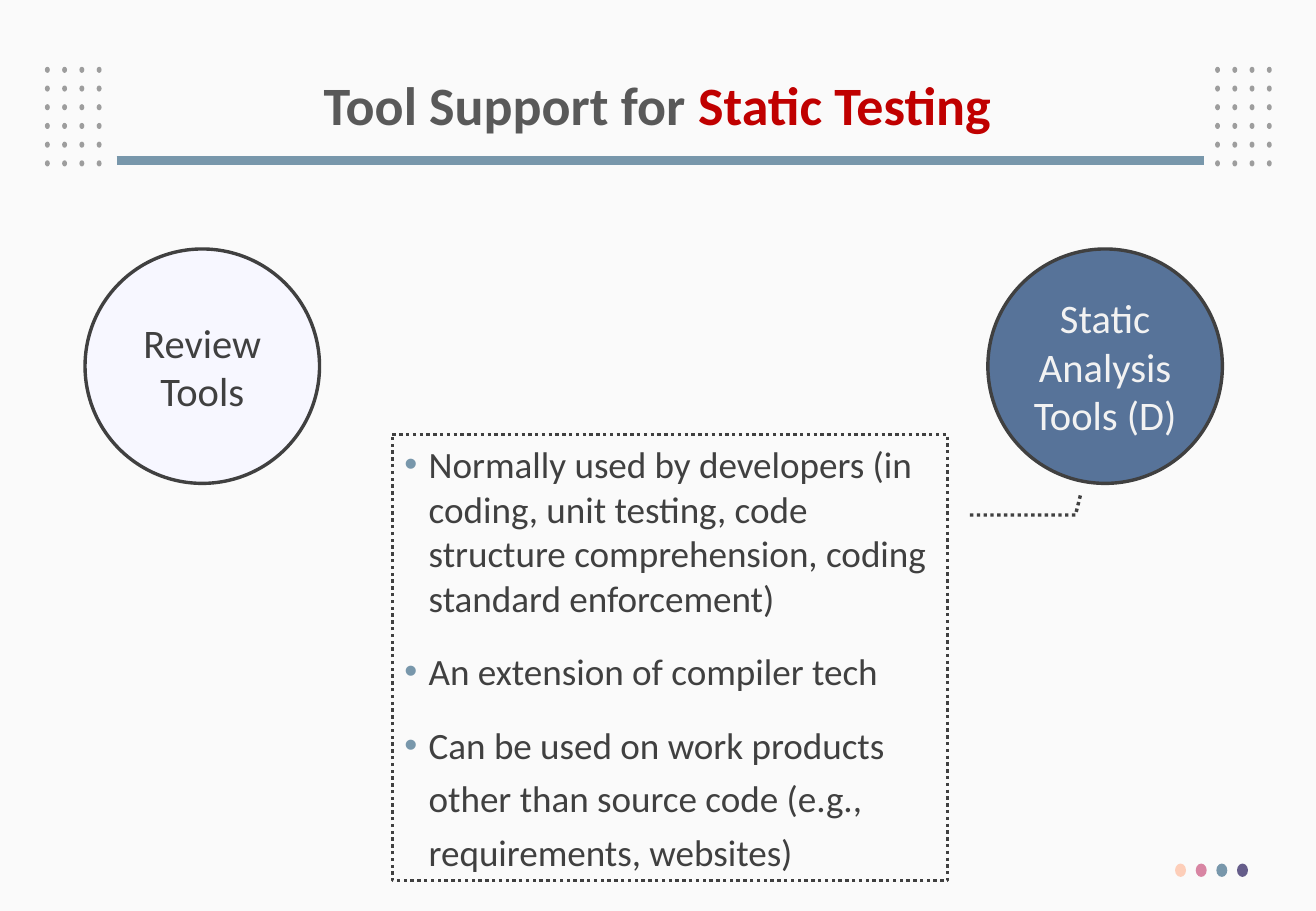
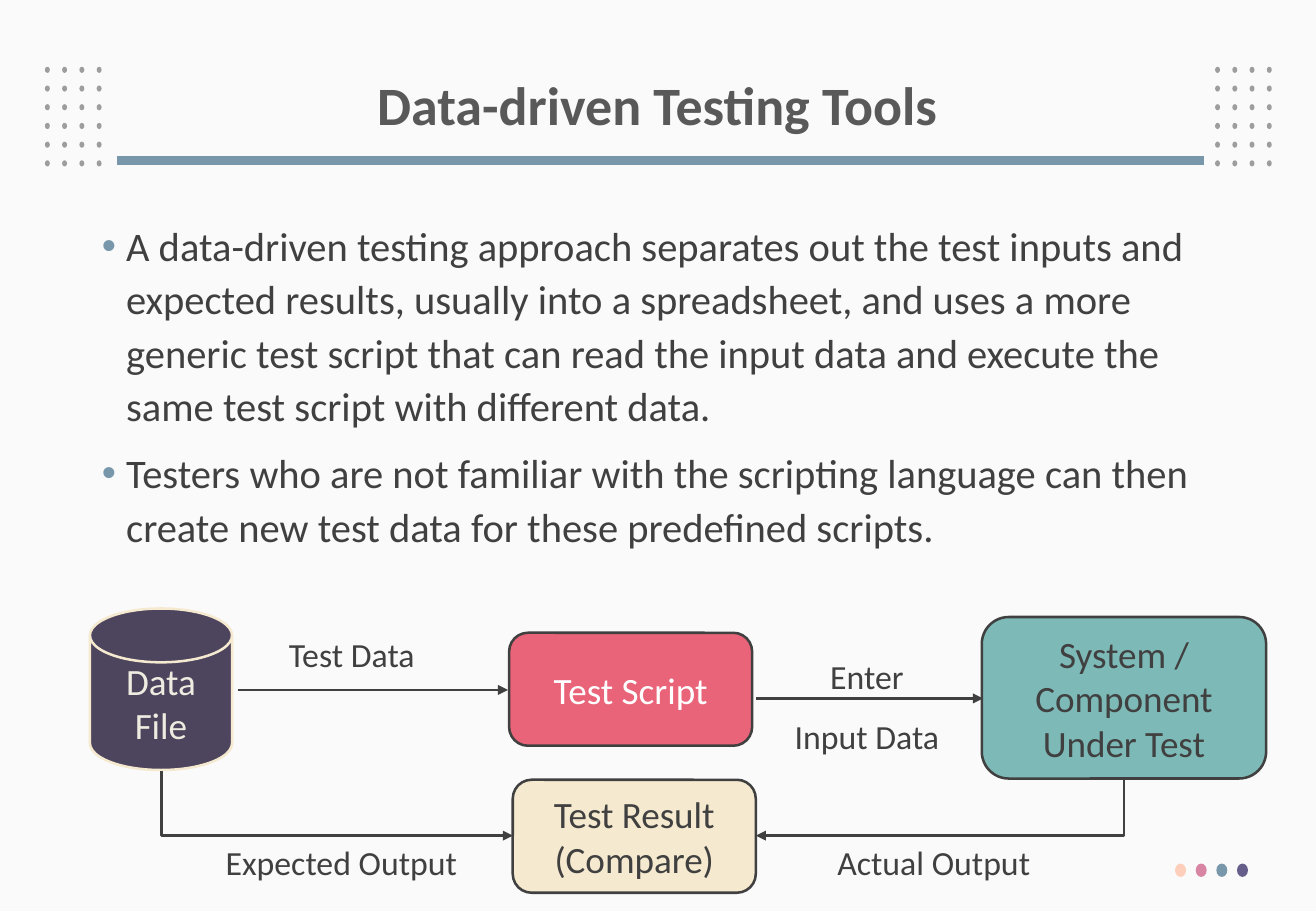
from dataclasses import dataclass
from itertools import product

from lxml.etree import SubElement
from pptx import Presentation
from pptx.dml.color import RGBColor
from pptx.enum.dml import MSO_LINE
from pptx.enum.shapes import MSO_CONNECTOR as Connector, MSO_SHAPE as Preset
from pptx.enum.text import MSO_ANCHOR as Anchor, PP_ALIGN as Align
from pptx.oxml.ns import qn
from pptx.util import Inches, Pt

FONT = "Calibri"
COLORS = {
    "background": "FAFAFA", "dot": "9D9D9D", "rule": "7897AB",
    "title": "595959", "accent": "C00000", "ink": "404040",
    "peach": "FDCEB9", "pink": "D885A3", "violet": "655D8A",
    "pale": "F7F7FF", "blue": "577399", "light": "F2F2F2",
    "plum": "4D455D", "cream": "F5E9CF", "ivory": "EEECE1",
    "coral": "E96479", "teal": "7DB9B6", "white": "FFFFFF",
}
DOT_COLUMNS, DOT_ROWS, DOT_LEFTS = 4, 6, (0.37, 10)
FOOTER_COLORS = ("peach", "pink", "rule", "violet")


@dataclass(frozen=True)
class Box:
    left: float
    top: float
    width: float
    height: float

    def lengths(self) -> tuple:
        return tuple(Inches(v) for v in (self.left, self.top, self.width, self.height))


@dataclass(frozen=True)
class Node:
    text: str
    box: Box
    preset: Preset
    fill: str
    color: str = "ink"
    line: str = "ink"
    weight: float = 1.5
    size: int = 22
    margin: float = 0.1


@dataclass(frozen=True)
class Label:
    text: str
    box: Box
    spacing: float = 1.0


@dataclass(frozen=True)
class Arrow:
    start: tuple[float, float]
    end: tuple[float, float]


@dataclass(frozen=True)
class Bullet:
    text: str
    spacing: float
    before: float


CIRCLES = (
    Node("Review Tools", Box(0.7, 2.05, 1.93, 1.93), Preset.OVAL, "pale",
         weight=2, size=24, margin=0),
    Node("Static Analysis Tools (D)", Box(8.13, 2.05, 1.93, 1.93), Preset.OVAL, "blue",
         color="light", weight=2, size=24, margin=0),
)
CALLOUT_BOX = Box(3.23, 3.58, 4.57, 3.67)
CALLOUT_POINTS = (0.18, 1.04, 0.18, 1.23, 0.13, 1.24)
CALLOUT_BULLETS = (
    Bullet("Normally used by developers (in coding, unit testing, code structure "
           "comprehension, coding standard enforcement)", 1.0, 0),
    Bullet("An extension of compiler tech", 1.2, 12),
    Bullet("Can be used on work products other than source code (e.g., requirements, "
           "websites)", 1.2, 12),
)
BODY_BULLETS = (
    Bullet("A data-driven testing approach separates out the test inputs and expected "
           "results, usually into a spreadsheet, and uses a more generic test script that "
           "can read the input data and execute the same test script with different data.",
           1.1, 8.1),
    Bullet("Testers who are not familiar with the scripting language can then create new "
           "test data for these predefined scripts.", 1.1, 8.1),
)
FLOW_NODES = (
    Node("Data File", Box(0.74, 5.01, 1.17, 1.33), Preset.FLOWCHART_MAGNETIC_DISK, "plum",
         color="ivory", line="cream"),
    Node("Test Script", Box(4.19, 5.21, 2, 0.93), Preset.ROUNDED_RECTANGLE, "coral",
         color="white"),
    Node("System / Component Under Test", Box(8.08, 5.08, 2.34, 1.33),
         Preset.ROUNDED_RECTANGLE, "teal"),
    Node("Test Result (Compare)", Box(4.22, 6.42, 2, 0.93), Preset.ROUNDED_RECTANGLE, "cream"),
)
FLOW_ARROWS = (
    Arrow((1.96, 5.68), (4.18, 5.68)),
    Arrow((6.22, 5.75), (8.09, 5.75)),
    Arrow((9.25, 6.42), (6.22, 6.88)),
    Arrow((1.33, 6.35), (4.22, 6.88)),
)
FLOW_LABELS = (
    Label("Test Data", Box(2.18, 5.17, 1.43, 0.44)),
    Label("Enter Input Data", Box(6.42, 5.18, 1.43, 1.06), 1.5),
    Label("Actual Output", Box(6.75, 6.88, 1.87, 0.44)),
    Label("Expected Output", Box(1.71, 6.88, 2.2, 0.44)),
)


def rgb(name: str) -> RGBColor:
    return RGBColor.from_string(COLORS[name])


def format_runs(paragraph, size: float, color: str, bold: bool = False) -> None:
    for run in paragraph.runs:
        run.font.name = FONT
        run.font.size = Pt(size)
        run.font.bold = bold
        run.font.color.rgb = rgb(color)


def add_preset(slide, preset: Preset, box: Box, fill: str | None,
               line: str | None = None, weight: float = 1.5):
    shape = slide.shapes.add_shape(preset, *box.lengths())
    shape.shadow.inherit = False
    if fill:
        shape.fill.solid()
        shape.fill.fore_color.rgb = rgb(fill)
    else:
        shape.fill.background()
    if line:
        shape.line.color.rgb = rgb(line)
        shape.line.width = Pt(weight)
    else:
        shape.line.fill.background()
    return shape


def add_text_frame(slide, box: Box):
    text_frame = slide.shapes.add_textbox(*box.lengths()).text_frame
    text_frame.word_wrap = True
    return text_frame


def add_node(slide, node: Node) -> None:
    shape = add_preset(slide, node.preset, node.box, node.fill, node.line, node.weight)
    text_frame = shape.text_frame
    text_frame.text = node.text
    text_frame.word_wrap = True
    text_frame.vertical_anchor = Anchor.MIDDLE
    text_frame.margin_left = text_frame.margin_right = Inches(node.margin)
    paragraph = text_frame.paragraphs[0]
    paragraph.alignment = Align.CENTER
    format_runs(paragraph, node.size, node.color)


def add_label(slide, label: Label) -> None:
    text_frame = add_text_frame(slide, label.box)
    text_frame.text = label.text
    paragraph = text_frame.paragraphs[0]
    paragraph.alignment = Align.CENTER
    paragraph.line_spacing = label.spacing
    format_runs(paragraph, 20, "ink")


def add_bullets(text_frame, bullets: tuple[Bullet, ...], size: float) -> None:
    text_frame.text = "\n".join(bullet.text for bullet in bullets)
    for paragraph, bullet in zip(text_frame.paragraphs, bullets):
        paragraph.alignment = Align.LEFT
        paragraph.line_spacing = bullet.spacing
        paragraph.space_before = Pt(bullet.before)
        format_runs(paragraph, size, "ink")
        properties = paragraph._p.get_or_add_pPr()
        properties.set("marL", str(Inches(0.2)))
        properties.set("indent", str(-Inches(0.2)))
        bullet_color = SubElement(properties, qn("a:buClr"))
        SubElement(bullet_color, qn("a:srgbClr"), val=COLORS["rule"])
        SubElement(properties, qn("a:buFont"), typeface="Arial")
        SubElement(properties, qn("a:buChar"), char="•")


def add_line(slide, kind: Connector, start: tuple[float, float], end: tuple[float, float],
             color: str, weight: float):
    connector = slide.shapes.add_connector(kind, *(Inches(v) for v in (*start, *end)))
    connector.line.color.rgb = rgb(color)
    connector.line.width = Pt(weight)
    SubElement(connector._element.spPr, qn("a:effectLst"))
    return connector


def add_arrow(slide, arrow: Arrow) -> None:
    (x1, y1), (x2, y2) = arrow.start, arrow.end
    if y1 == y2:
        connector = add_line(slide, Connector.STRAIGHT, arrow.start, arrow.end, "ink", 1.5)
    else:
        center_x, center_y = (x1 + x2) / 2, (y1 + y2) / 2
        half_drop, half_reach = (y2 - y1) / 2, abs(x2 - x1) / 2
        connector = add_line(slide, Connector.ELBOW,
                             (center_x - half_drop, center_y - half_reach),
                             (center_x + half_drop, center_y + half_reach), "ink", 1.5)
        properties = connector._element.spPr
        properties.find(qn("a:prstGeom")).set("prst", "bentConnector2")
        transform = properties.find(qn("a:xfrm"))
        rightward = x2 > x1
        transform.set("rot", str((270 if rightward else 90) * 60000))
        if rightward:
            transform.set("flipH", "1")
    line = connector._element.spPr.find(qn("a:ln"))
    SubElement(line, qn("a:tailEnd"), type="triangle")


def add_base_slide(presentation, title: str, accent: str = ""):
    slide = presentation.slides.add_slide(presentation.slide_layouts[6])
    slide.background.fill.solid()
    slide.background.fill.fore_color.rgb = rgb("background")
    for left, row, column in product(DOT_LEFTS, range(DOT_ROWS), range(DOT_COLUMNS)):
        dot = Box(left + 0.142 * column, 0.55 + 0.154 * row, 0.04, 0.05)
        add_preset(slide, Preset.OVAL, dot, "dot")
    add_line(slide, Connector.STRAIGHT, (0.96, 1.32), (9.91, 1.32), "rule", 5.25)
    for index, color in enumerate(FOOTER_COLORS):
        add_preset(slide, Preset.OVAL, Box(9.67 + 0.17 * index, 7.11, 0.09, 0.11), color)

    text_frame = add_text_frame(slide, Box(0.74, 0.4, 9.34, 0.98))
    text_frame.vertical_anchor = Anchor.MIDDLE
    text_frame.text = title
    paragraph = text_frame.paragraphs[0]
    paragraph.alignment = Align.CENTER
    paragraph.line_spacing = 0.9
    if accent:
        paragraph.add_run().text = accent
    format_runs(paragraph, 32, "title", bold=True)
    if accent:
        paragraph.runs[-1].font.color.rgb = rgb("accent")
    return slide


def build_static_testing(presentation) -> None:
    slide = add_base_slide(presentation, "Tool Support for ", "Static Testing")
    for circle in CIRCLES:
        add_node(slide, circle)
    callout = add_preset(slide, Preset.LINE_CALLOUT_2, CALLOUT_BOX, None, "ink", 2)
    callout.line.dash_style = MSO_LINE.ROUND_DOT
    for index, value in enumerate(CALLOUT_POINTS):
        callout.adjustments[index] = value
    callout.text_frame.word_wrap = True
    callout.text_frame.vertical_anchor = Anchor.MIDDLE
    add_bullets(callout.text_frame, CALLOUT_BULLETS, 22)


def build_data_driven(presentation) -> None:
    slide = add_base_slide(presentation, "Data-driven Testing Tools")
    add_bullets(add_text_frame(slide, Box(0.74, 1.73, 9.34, 3.11)), BODY_BULLETS, 24)
    for node in FLOW_NODES:
        add_node(slide, node)
    for arrow in FLOW_ARROWS:
        add_arrow(slide, arrow)
    for label in FLOW_LABELS:
        add_label(slide, label)


def main() -> None:
    presentation = Presentation()
    presentation.slide_width = Inches(10.83)
    presentation.slide_height = Inches(7.5)
    build_static_testing(presentation)
    build_data_driven(presentation)
    presentation.save("out.pptx")


if __name__ == "__main__":
    main()
